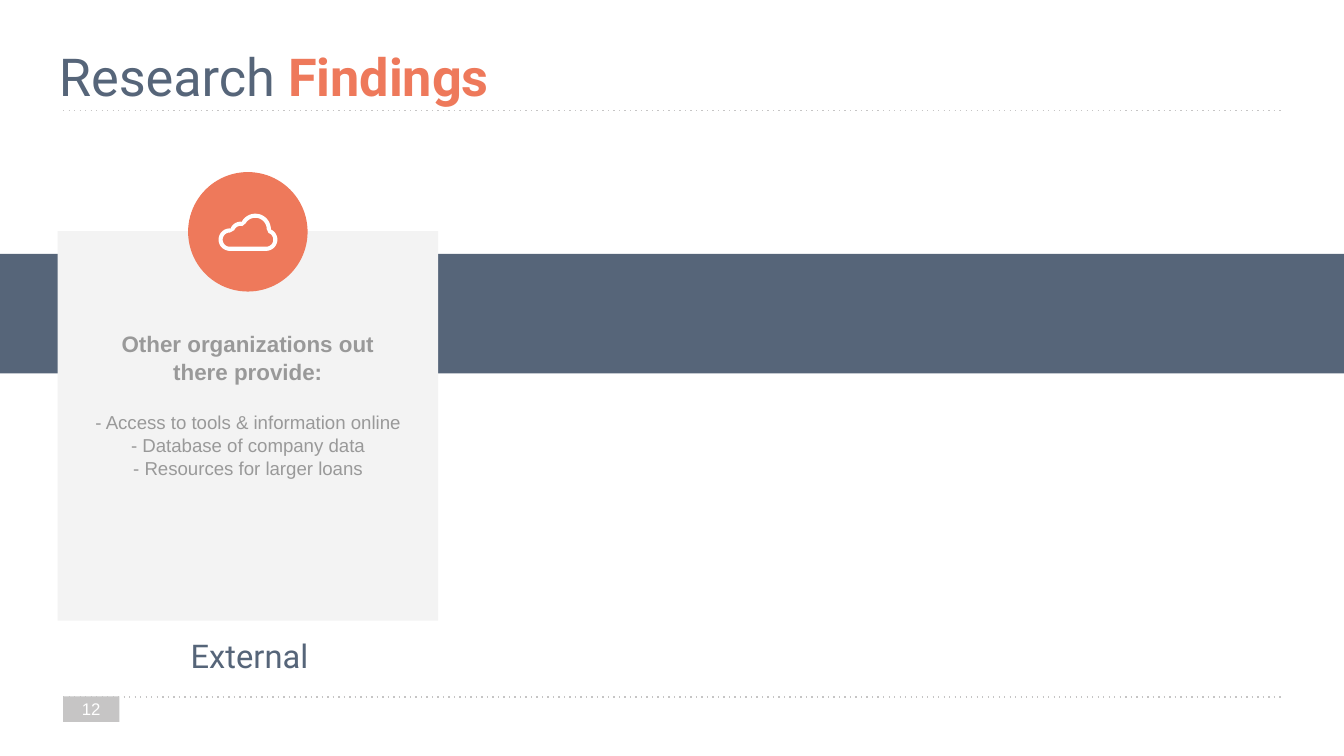
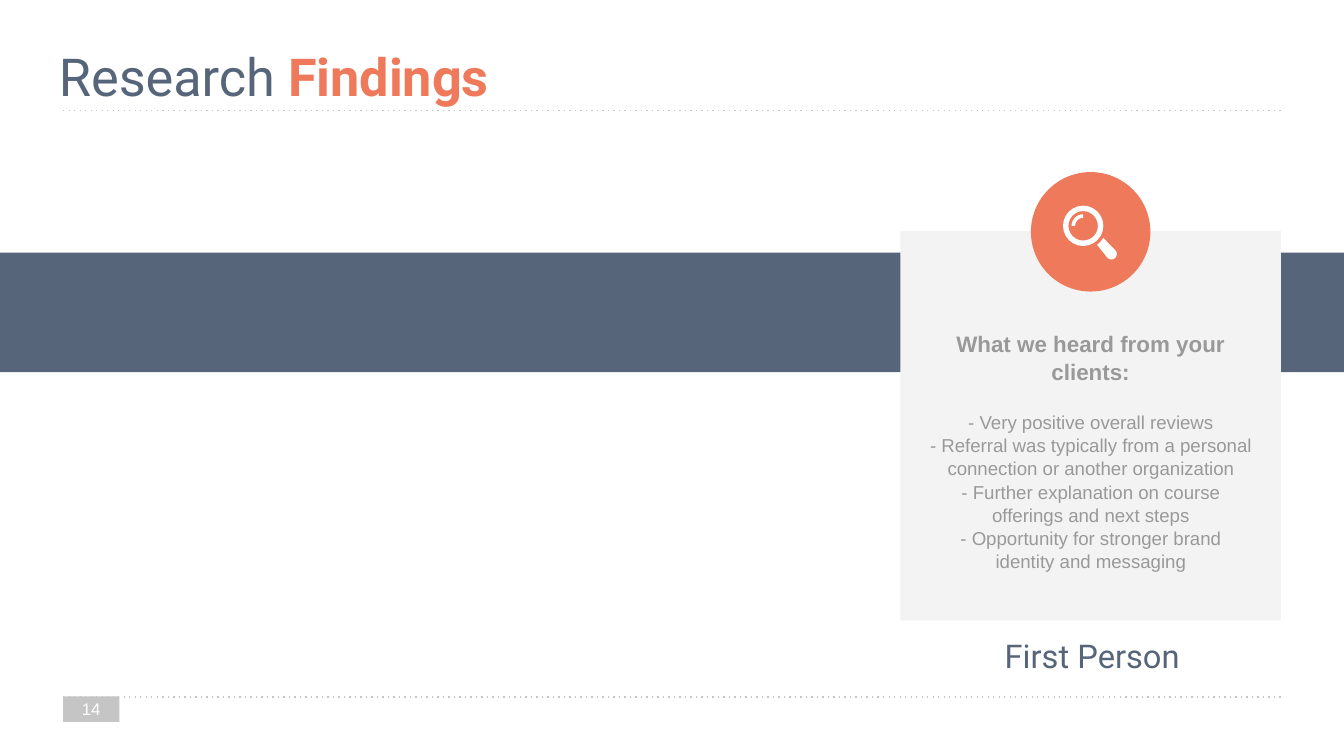
from math import cos, radians, sin

from lxml.etree import SubElement
from pptx import Presentation
from pptx.dml.color import RGBColor
from pptx.enum.dml import MSO_LINE
from pptx.enum.shapes import MSO_CONNECTOR, MSO_SHAPE
from pptx.enum.text import MSO_ANCHOR, PP_ALIGN
from pptx.oxml.ns import qn
from pptx.util import Pt

SLATE, ORANGE, PALE = "566579", "EE795B", "F3F3F3"
SILVER, GREY, WHITE = "C6C5C5", "999999", "FFFFFF"
CARD_WIDTH, CARD_TOP, CARD_HEIGHT = 203.8, 123.8, 208.8
CIRCLE_SIZE, CIRCLE_MIDDLE = 64, 124.2
NUMBER_BOX = (33.8, 373, 30.2, 13.7)

# Icons: outlines made of arcs (x, y, radius, start angle, end angle),
# measured from the middle of the circle
def cloud_outline(inset):
    lobes = [(-9.7, 4.2, 6, 90, 270), (-3.9, 0.4, 5.8, 200, 285),
             (4, -1.4, 8.3, 210, 360), (9.8, 4.2, 6, 290, 450)]
    return [(x, y, radius - inset, start, end) for x, y, radius, start, end in lobes]


CLOUD = [[cloud_outline(0), cloud_outline(2.2)]]
MAGNIFIER = [
    [[(11.1, 11.9, 2.9, -45, 135), (-4, -3.2, 12.6, 54, 31)]],        # handle
    [[(-4, -3.2, 10.8, 0, 360)], [(-4, -3.2, 7.9, 0, 360)]],          # lens
    [[(-4, -3.2, 6.2, 180, 270), (-4, -3.2, 4.3, 270, 180)]],         # glint
]

# Per slide: number, card left, band top, icon, heading, findings, label
SLIDES = [
    ("12", 30.9, 136.1, CLOUD,
     ["Other organizations out", "there provide:"],
     ["- Access to tools & information online",
      "- Database of company data",
      "- Resources for larger loans"],
     "External"),
    ("14", 482.4, 135.4, MAGNIFIER,
     ["What we heard from your clients:"],
     ["- Very positive overall reviews",
      "- Referral was typically from a personal connection or another organization",
      "- Further explanation on course",
      "offerings and next steps",
      "- Opportunity for stronger brand",
      "identity and messaging"],
     "First Person"),
]


def add_text(slide, box, lines, size, font, colour, anchor=MSO_ANCHOR.MIDDLE):
    frame = slide.shapes.add_textbox(*map(Pt, box)).text_frame
    frame.word_wrap = True
    frame.vertical_anchor = anchor
    frame.margin_left = frame.margin_right = Pt(7.2)
    frame.margin_top = frame.margin_bottom = Pt(7.2)
    frame.text = "\n".join(lines)
    for paragraph in frame.paragraphs:
        paragraph.alignment = PP_ALIGN.CENTER
        paragraph.font.size = Pt(size)
        paragraph.font.name = font
        paragraph.font.color.rgb = RGBColor.from_string(colour)
    return frame


presentation = Presentation()
presentation.slide_width, presentation.slide_height = Pt(720), Pt(405)

for number, card_left, band_top, icon, heading, findings, label in SLIDES:
    slide = presentation.slides.add_slide(presentation.slide_layouts[6])
    center = card_left + CARD_WIDTH / 2

    # Dotted rules under the title and above the footer
    for y in (373.5, 59.2):
        rule = slide.shapes.add_connector(MSO_CONNECTOR.STRAIGHT, Pt(33.8), Pt(y), Pt(686.2), Pt(y))
        rule.line.color.rgb = RGBColor.from_string(SILVER)
        rule.line.width = Pt(0.75)
        rule.line.dash_style = MSO_LINE.ROUND_DOT
        next(rule.element.iter(qn("a:prstDash"))).set("val", "dot")
        SubElement(rule.element.spPr, qn("a:effectLst"))

    # Number tab, band, card and icon circle
    painted = []
    for kind, box, colour in [
        (MSO_SHAPE.RECTANGLE, NUMBER_BOX, SILVER),
        (MSO_SHAPE.RECTANGLE, (0, band_top, 720, 64), SLATE),
        (MSO_SHAPE.RECTANGLE, (card_left, CARD_TOP, CARD_WIDTH, CARD_HEIGHT), PALE),
        (MSO_SHAPE.OVAL, (center - CIRCLE_SIZE / 2, CIRCLE_MIDDLE - CIRCLE_SIZE / 2,
                          CIRCLE_SIZE, CIRCLE_SIZE), ORANGE),
    ]:
        painted.append((slide.shapes.add_shape(kind, *map(Pt, box)), colour))

    # Icon parts
    for part in icon:
        builder = None
        for outline in part:
            points = []
            for x, y, radius, start, end in outline:
                for step in range(25):
                    angle = radians(start + (end - start) * step / 24)
                    points.append((Pt(center + x + radius * cos(angle)),
                                   Pt(CIRCLE_MIDDLE + y + radius * sin(angle))))
            if builder is None:
                builder = slide.shapes.build_freeform(*points[0])
            else:
                builder.move_to(*points[0])
            builder.add_line_segments(points[1:], close=True)
        painted.append((builder.convert_to_shape(), WHITE))

    for shape, colour in painted:
        shape.shadow.inherit = False
        shape.fill.solid()
        shape.fill.fore_color.rgb = RGBColor.from_string(colour)
        shape.line.fill.background()

    # Title
    title = add_text(slide, (24.5, 16.6, 671, 36.7), ["Research "], 28, "Roboto", SLATE,
                     MSO_ANCHOR.TOP).paragraphs[0]
    title.alignment = PP_ALIGN.LEFT
    accent = title.add_run()
    accent.text = "Findings"
    accent.font.bold = True
    accent.font.color.rgb = RGBColor.from_string(ORANGE)

    # Card text
    body = add_text(slide, (center - 100.4, 169.2, 200.8, 141.1), heading + findings, 10, "Arial",
                    GREY, MSO_ANCHOR.TOP)
    for paragraph in body.paragraphs:
        paragraph.line_spacing = 1.04
    for paragraph in body.paragraphs[:len(heading)]:
        paragraph.font.size = Pt(12)
        paragraph.font.bold = True
    body.paragraphs[len(heading)].space_before = Pt(13.2)

    # Card label and slide number
    add_text(slide, (center - 101, 338.4, 203.8, 25.9), [label], 17.5, "Roboto", SLATE)
    add_text(slide, NUMBER_BOX, [number], 9, "Arial", WHITE)

presentation.save("out.pptx")
